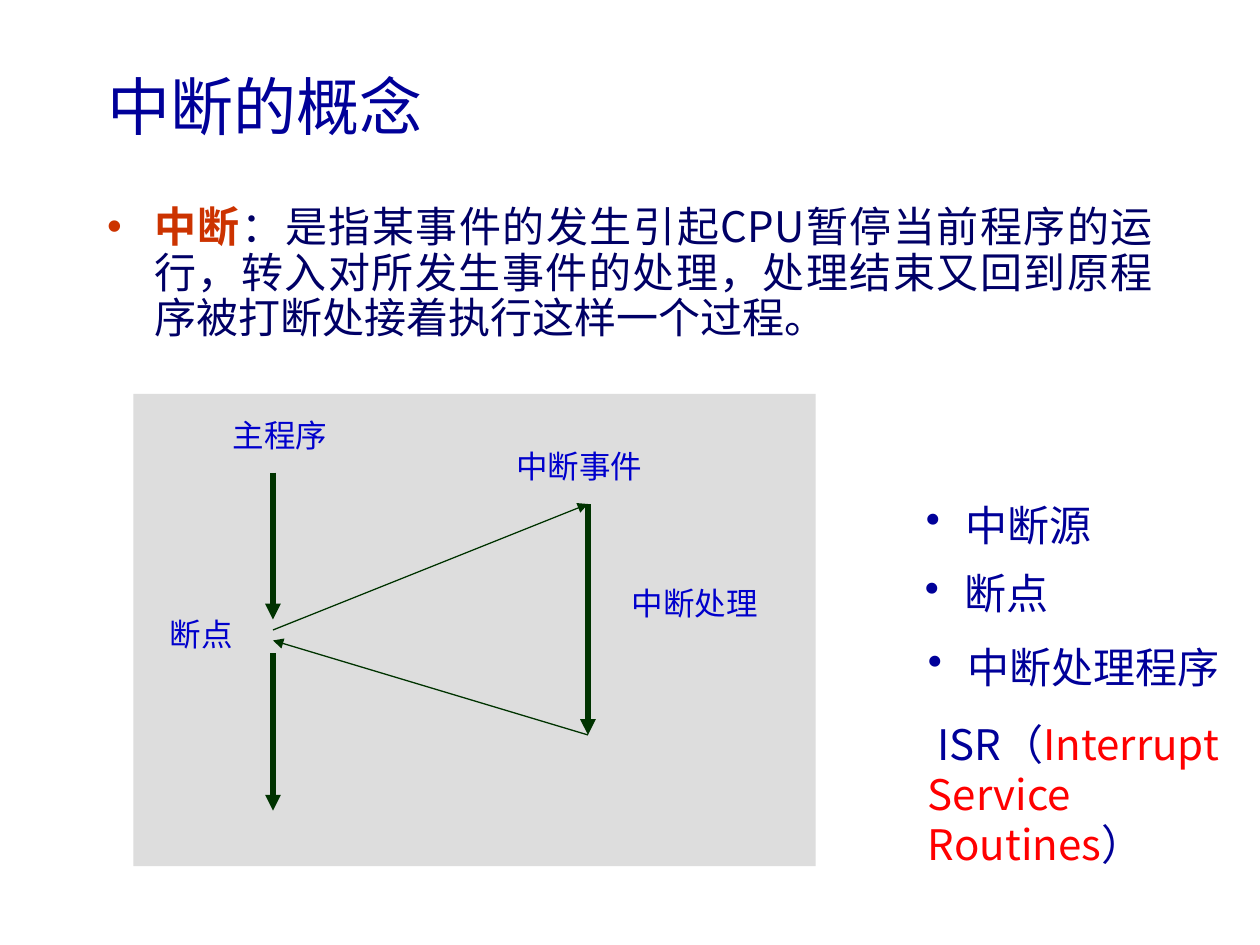
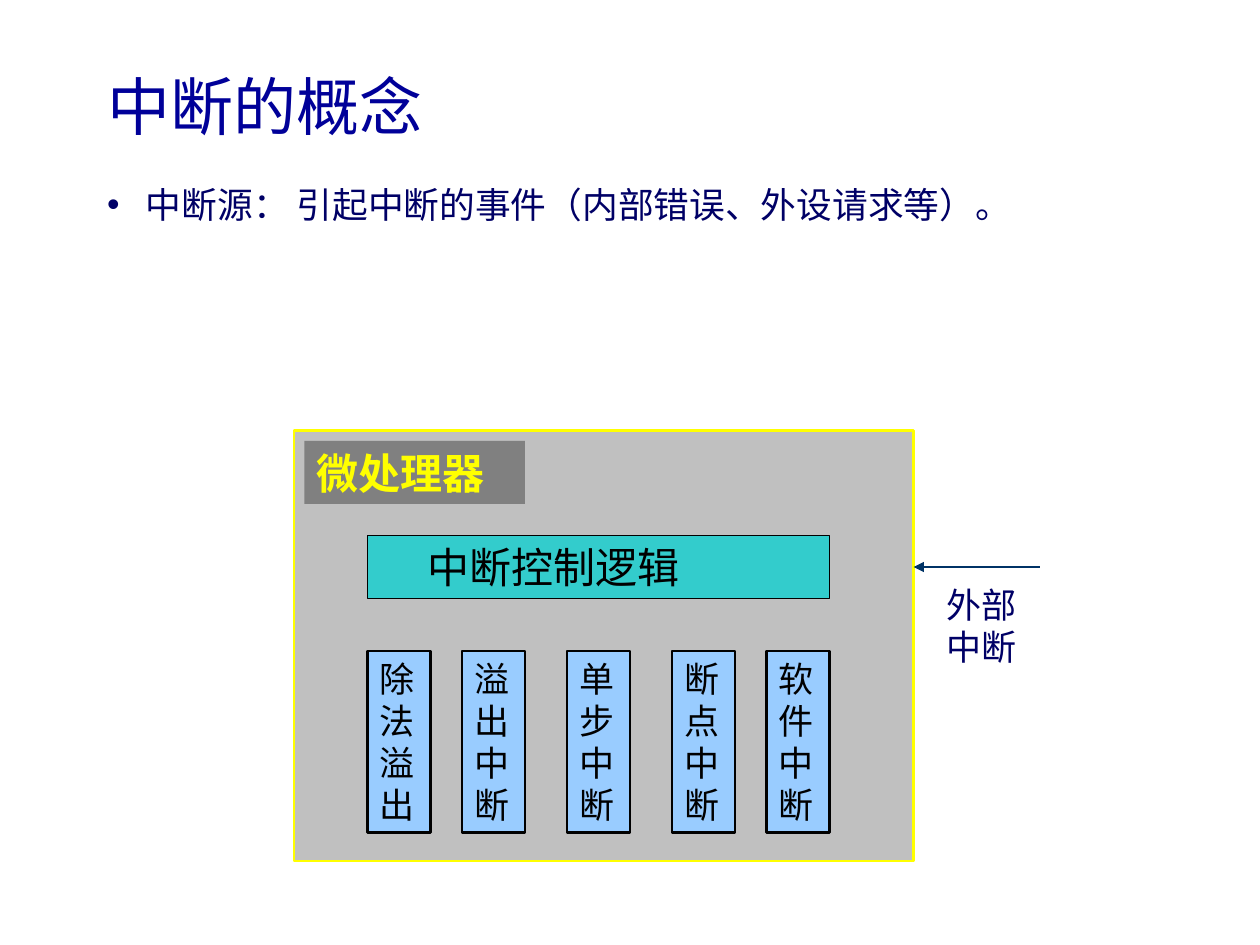
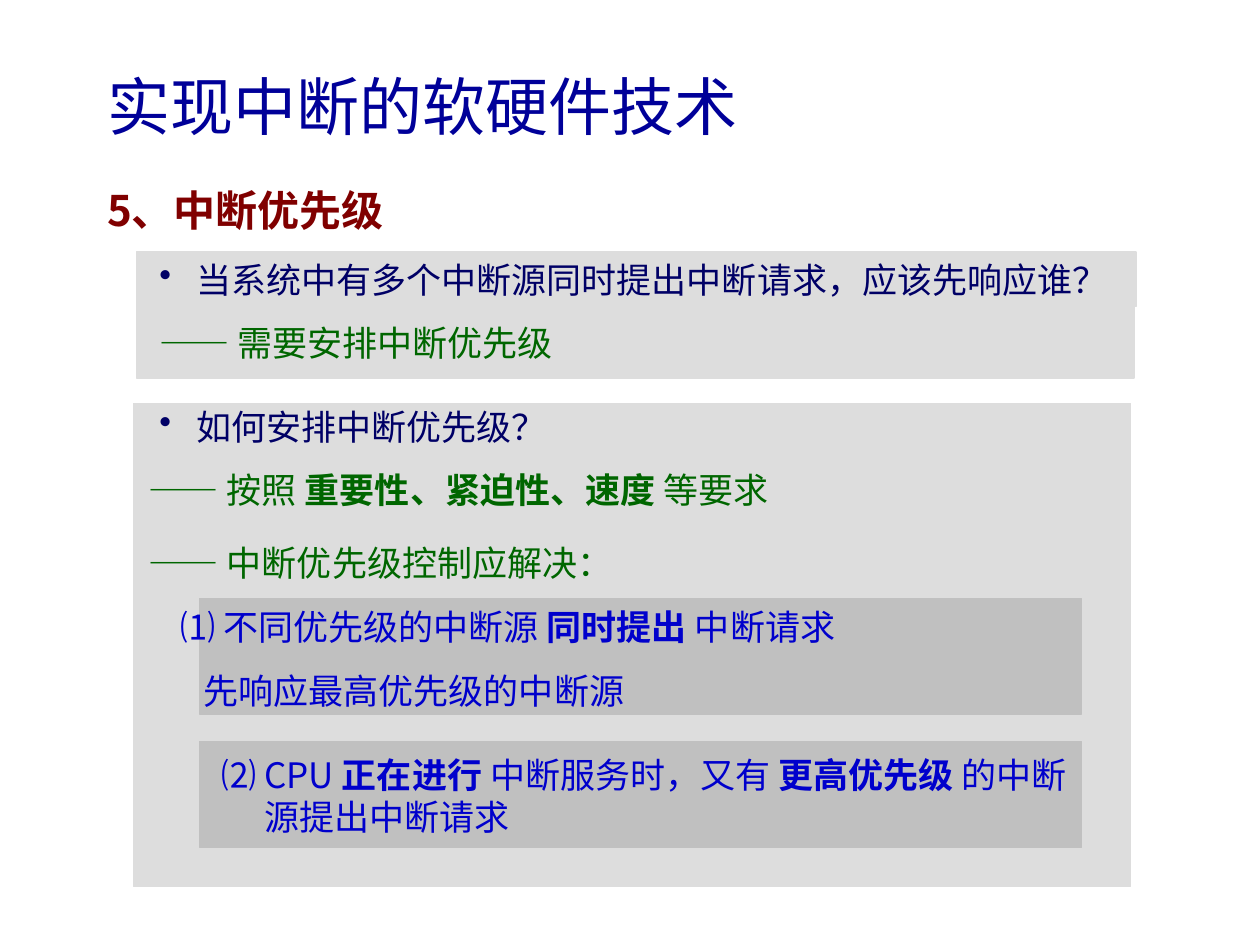
"""Build three slides on interrupts: the idea, the sources and the priorities."""
import pptx
import pptx.util
import pptx.dml.color
import pptx.enum.shapes
import pptx.enum.text
import pptx.oxml.ns
import lxml.etree

PX = 7620
PITCH = 1.2
LEFT = pptx.enum.text.PP_ALIGN.LEFT
FULL = pptx.enum.text.PP_ALIGN.JUSTIFY
TOP = pptx.enum.text.MSO_ANCHOR.TOP
MID = pptx.enum.text.MSO_ANCHOR.MIDDLE
RECT = pptx.enum.shapes.MSO_SHAPE.RECTANGLE
LINE = pptx.enum.shapes.MSO_CONNECTOR.STRAIGHT

THEME = {
    "font": "Noto Sans CJK SC",
    "text": {
        "title": (36, "000099", False),
        "key": (24, "CC3300", True),
        "lead": (24, "000066", False),
        "source": (20.4, "000066", False),
        "label": (18, "0000CC", False),
        "term": (24, "000099", False),
        "alert": (24, "FF0000", False),
        "cell": (20, "000000", False),
        "logic": (24, "000000", False),
        "chip": (24, "FFFF00", True),
        "ask": (20, "000066", False),
        "head": (24, "800000", True),
        "reply": (20, "006600", False),
        "reply bold": (20, "006600", True),
        "case": (20, "0000CC", False),
        "case bold": (20, "0000CC", True),
    },
    "fill": {
        "panel": "DDDDDD", "inner": "C0C0C0", "tag": "808080",
        "cell": "99CCFF", "logic": "33CCCC",
    },
    "line": {
        "panel": "DDDDDD", "inner": "C0C0C0", "chip": "FFFF00",
        "edge": "000000", "flow": "003300", "outer": "003366",
    },
}


def write(shape, paras, anchor=TOP, inset=6):
    """Fill a shape with paragraphs, each a format dict and a list of runs."""
    frame = shape.text_frame
    look = {"word_wrap": True, "auto_size": pptx.enum.text.MSO_AUTO_SIZE.NONE,
            "vertical_anchor": anchor, "margin_top": inset * PX,
            "margin_bottom": 6 * PX, "margin_left": 12 * PX,
            "margin_right": 12 * PX}
    for name, value in look.items():
        setattr(frame, name, value)
    for spot, (form, runs) in enumerate(paras):
        para = frame.add_paragraph() if spot else frame.paragraphs[0]
        props = para._p.get_or_add_pPr()
        hang = form.get("hang", 0)
        props.set("marL", str(form.get("left", hang) * PX))
        props.set("indent", str(form.get("first", -hang) * PX))
        size, tint, _ = THEME["text"][runs[0][1]]
        if form.get("dot"):
            color = lxml.etree.SubElement(props, pptx.oxml.ns.qn("a:buClr"))
            lxml.etree.SubElement(color, pptx.oxml.ns.qn("a:srgbClr"), val=tint)
            lxml.etree.SubElement(props, pptx.oxml.ns.qn("a:buChar"), char="•")
        else:
            lxml.etree.SubElement(props, pptx.oxml.ns.qn("a:buNone"))
        step = {"alignment": form.get("align", LEFT),
                "line_spacing": pptx.util.Pt(round(size * PITCH * form.get("tight", 1), 1)),
                "space_before": pptx.util.Pt(form.get("gap", 0))}
        for name, value in step.items():
            setattr(para, name, value)
        for text, role in runs:
            run = para.add_run()
            run.text = text
            size, tint, bold = THEME["text"][role]
            style = {"name": THEME["font"], "size": pptx.util.Pt(size), "bold": bold}
            for name, value in style.items():
                setattr(run.font, name, value)
            run.font.color.rgb = pptx.dml.color.RGBColor.from_string(tint)
            lxml.etree.SubElement(run._r.get_or_add_rPr(), pptx.oxml.ns.qn("a:ea"),
                                  typeface=THEME["font"])


def block(slide, area, fill, edge=None, width=0.75):
    """Add a filled rectangle with an optional edge."""
    shape = slide.shapes.add_shape(RECT, *(n * PX for n in area))
    shape.shadow.inherit = False
    shape.fill.solid()
    shape.fill.fore_color.rgb = pptx.dml.color.RGBColor.from_string(THEME["fill"][fill])
    if edge:
        shape.line.color.rgb = pptx.dml.color.RGBColor.from_string(THEME["line"][edge])
        shape.line.width = pptx.util.Pt(width)
    else:
        shape.line.fill.background()
    return shape


deck = pptx.Presentation()
deck.slide_width = 1200 * PX
deck.slide_height = 900 * PX

pages = [
    ("中断的概念", (90, 190, 1020, 170),
     {"hang": 45, "dot": True, "align": FULL, "tight": 0.9},
     [("中断", "key"),
      ("：是指某事件的发生引起CPU暂停当前程序的运行，转入对所发生事件的处理，"
       "处理结束又回到原程序被打断处接着执行这样一个过程。", "lead")]),
    ("中断的概念", (90, 180, 1020, 80),
     {"hang": 37, "dot": True, "align": FULL, "tight": 0.7},
     [("中断源： 引起中断的事件（内部错误、外设请求等）。", "source")]),
    ("实现中断的软硬件技术", (90, 170, 1020, 70), {},
     [("5、中断优先级", "head")]),
]
slides = []
for title, area, form, runs in pages:
    slide = deck.slides.add_slide(deck.slide_layouts[1])
    body = slide.placeholders[1]
    for shape, place in ((slide.shapes.title, (90, 60, 1020, 80)), (body, area)):
        for name, value in zip(("left", "top", "width", "height"), place):
            setattr(shape, name, value * PX)
    write(slide.shapes.title, [({}, [(title, "title")])], MID)
    write(body, [(form, runs)])
    slides.append(slide)
idea, source, rank = slides

block(idea, (127, 375, 650, 450), "panel")
block(source, (280, 410, 590, 410), "inner", "chip", 1.5)
block(rank, (127, 384, 950, 460), "panel", "panel")
block(rank, (130, 240, 950, 120), "panel", "panel")
block(rank, (190, 570, 840, 110), "inner", "inner")

arrows = [
    (idea, (260, 450, 260, 590), "flow", 3),
    (idea, (260, 600, 560, 480), "flow", 0.75),
    (idea, (560, 480, 560, 700), "flow", 3),
    (idea, (560, 700, 260, 610), "flow", 0.75),
    (idea, (260, 622, 260, 772), "flow", 3),
    (source, (990, 540, 870, 540), "outer", 1.5),
]
for slide, ends, tint, width in arrows:
    arrow = slide.shapes.add_connector(LINE, *(n * PX for n in ends))
    arrow.line.color.rgb = pptx.dml.color.RGBColor.from_string(THEME["line"][tint])
    arrow.line.width = pptx.util.Pt(width)
    lxml.etree.SubElement(arrow.line._get_or_add_ln(), pptx.oxml.ns.qn("a:tailEnd"),
                          type="triangle")
    lxml.etree.SubElement(arrow._element.spPr, pptx.oxml.ns.qn("a:effectLst"))

term = {"hang": 38, "dot": True}
notes = [
    (idea, (210, 390, 190, 48), [({}, [("主程序", "label")])]),
    (idea, (480, 420, 170, 48), [({}, [("中断事件", "label")])]),
    (idea, (590, 550, 170, 48), [({}, [("中断处理", "label")])]),
    (idea, (150, 580, 110, 48), [({}, [("断点", "label")])]),
    (idea, (870, 470, 230, 60), [(term, [("中断源", "term")])]),
    (idea, (869, 535, 180, 60), [(term, [("断点", "term")])]),
    (idea, (872, 605, 320, 277), [
        (term, [("中断处理程序", "term")]),
        ({"first": 9, "gap": 15},
         [("ISR（", "term"), ("Interrupt Service Routines", "alert"), ("）", "term")])]),
    (source, (890, 550, 110, 92), [({}, [("外部中断", "ask")])]),
    (rank, (140, 300, 430, 53), [({}, [("—— 需要安排中断优先级", "reply")])]),
    (rank, (140, 380, 430, 53),
     [({"hang": 35, "dot": True}, [("如何安排中断优先级？", "ask")])]),
    (rank, (130, 440, 670, 53), [
        ({}, [("—— 按照 ", "reply"), ("重要性、紧迫性、速度 ", "reply bold"),
              ("等要求", "reply")])]),
    (rank, (130, 510, 950, 174), [
        ({}, [("—— 中断优先级控制应解决：", "reply")]),
        ({"left": 30, "gap": 12.5},
         [("⑴ 不同优先级的中断源 ", "case"), ("同时提出 ", "case bold"),
          ("中断请求", "case")]),
        ({"left": 52, "gap": 12.5}, [("先响应最高优先级的中断源", "case")])]),
]
for slide, area, paras in notes:
    write(slide.shapes.add_textbox(*(n * PX for n in area)), paras)

causes = zip((350, 440, 540, 640, 730),
             ("除法溢出", "溢出中断", "单步中断", "断点中断", "软件中断"))
for left, cause in causes:
    write(block(source, (left, 620, 60, 173), "cell", "edge", 1.5),
          [({}, [(cause, "cell")])])
write(block(source, (290, 420, 210, 60), "tag"), [({}, [("微处理器", "chip")])])
write(block(source, (350, 510, 440, 60), "logic", "edge"),
      [({"left": 45}, [("中断控制逻辑", "logic")])])

write(block(rank, (140, 240, 942, 52), "panel", "panel"),
      [({"hang": 35, "dot": True},
        [("当系统中有多个中断源同时提出中断请求，应该先响应谁？", "ask")])], MID)
write(block(rank, (190, 706, 840, 101), "inner", "inner"),
      [({"left": 50, "first": -41},
        [("⑵ CPU ", "case"), ("正在进行 ", "case bold"), ("中断服务时，又有 ", "case"),
         ("更高优先级", "case bold"), (" 的中断源提出中断请求", "case")])], TOP, 12)

deck.save("out.pptx")
